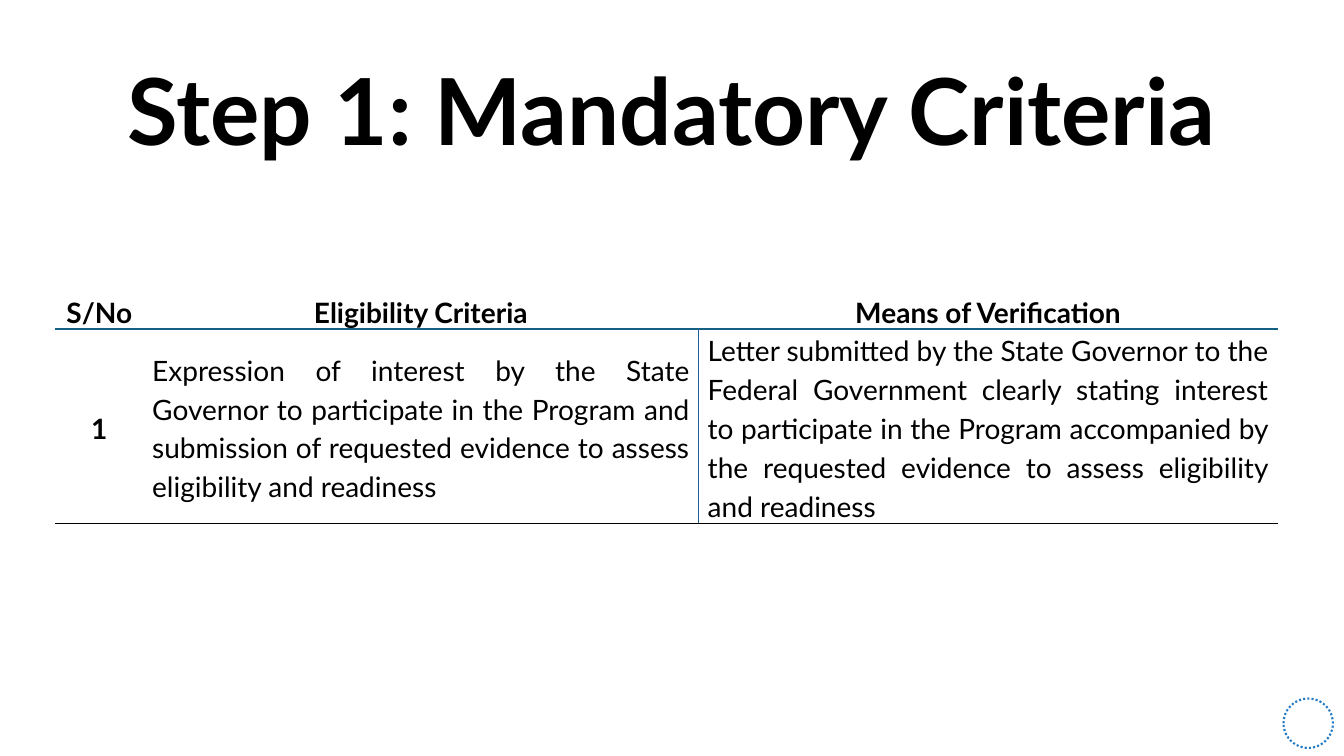
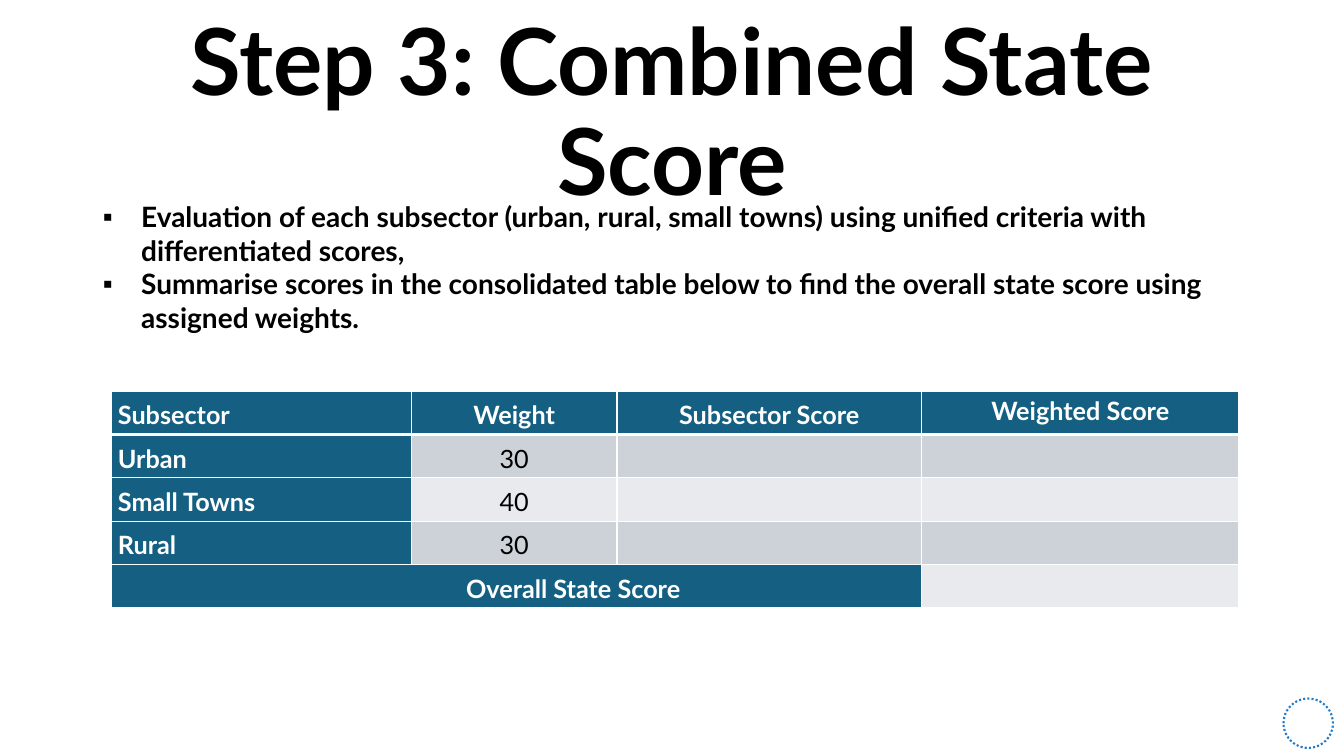
from lxml import etree
from pptx import Presentation
from pptx.dml.color import RGBColor
from pptx.enum.dml import MSO_LINE
from pptx.enum.shapes import MSO_SHAPE
from pptx.enum.text import MSO_ANCHOR as Anchor, MSO_AUTO_SIZE as AutoSize, PP_ALIGN as Align
from pptx.oxml.ns import qn
from pptx.util import Inches, Pt

FONT = "Lato"
COLORS = {
    "text": "000000",
    "white": "FFFFFF",
    "brand": "156082",
    "divider": "215F9A",
    "ring": "247BC5",
    "band_dark": "CCD2D8",
    "band_light": "E8EAED",
}
TITLE_ONLY, TITLE_AND_BODY = 5, 1  # layouts of the default template


def rgb(name):
    return RGBColor.from_string(COLORS[name])


def place(shape, left, top, width, height):
    shape.left, shape.top = Inches(left), Inches(top)
    shape.width, shape.height = Inches(width), Inches(height)


def style(paragraph, size, color="text", bold=True, align=Align.LEFT, spacing=1.0, before=0):
    font = paragraph.font
    font.name, font.size, font.bold = FONT, Pt(size), bold
    font.color.rgb = rgb(color)
    paragraph.alignment = align
    paragraph.line_spacing = spacing
    paragraph.space_before = Pt(before)


# Shared slide frame: title and corner ring
def new_slide(prs, layout, heading):
    slide = prs.slides.add_slide(prs.slide_layouts[layout])
    title = slide.shapes.title
    place(title, 0.7, 0.46, 11.93, 1.37)
    frame = title.text_frame
    frame.text = heading
    frame.auto_size, frame.vertical_anchor = AutoSize.NONE, Anchor.MIDDLE
    style(frame.paragraphs[0], 66, align=Align.CENTER, spacing=0.9)

    ring = slide.shapes.add_shape(
        MSO_SHAPE.OVAL, Inches(12.73), Inches(6.93), Inches(0.49), Inches(0.49))
    ring.shadow.inherit = False
    ring.fill.background()
    ring.line.color.rgb = rgb("ring")
    ring.line.width = Pt(1.5)
    ring.line.dash_style = MSO_LINE.ROUND_DOT
    return slide


def add_bullets(slide, items):
    body = slide.placeholders[1]
    place(body, 0.92, 1.93, 11.6, 1.45)
    frame = body.text_frame
    frame.text = "\n".join(items)
    frame.auto_size, frame.vertical_anchor = AutoSize.NONE, Anchor.TOP
    for paragraph in frame.paragraphs:
        style(paragraph, 20)
        props = paragraph._p.get_or_add_pPr()
        props.set("marL", str(Inches(0.38)))
        props.set("indent", str(-Inches(0.38)))
        bullet = etree.Element(qn("a:buChar"), char="▪")
        props.insert_element_before(bullet, "a:tabLst", "a:defRPr", "a:extLst")


# Tables
def add_grid(slide, left, top, col_widths, row_heights):
    table = slide.shapes.add_table(
        len(row_heights), len(col_widths), Inches(left), Inches(top),
        Inches(sum(col_widths)), Inches(sum(row_heights))).table
    table.first_row = table.horz_banding = False
    for column, width in zip(table.columns, col_widths):
        column.width = Inches(width)
    for row, height in zip(table.rows, row_heights):
        row.height = Inches(height)
    return table


def set_borders(cell, borders):
    """Borders map a side (L, R, T, B) to a colour name and a width; set them before the fill."""
    props = cell._tc.get_or_add_tcPr()
    for side in "LRTB":
        if side in borders:
            color, width = borders[side]
            line = etree.SubElement(props, qn(f"a:ln{side}"), w=str(Pt(width)))
            solid = etree.SubElement(line, qn("a:solidFill"))
            etree.SubElement(solid, qn("a:srgbClr"), val=COLORS[color])


def format_cell(cell, text, inset, borders, fill=None, anchor=Anchor.MIDDLE, **text_style):
    set_borders(cell, borders)
    if fill:
        cell.fill.solid()
        cell.fill.fore_color.rgb = rgb(fill)
    else:
        cell.fill.background()
    cell.margin_left = cell.margin_right = Inches(inset)
    cell.margin_top = cell.margin_bottom = 0
    cell.vertical_anchor = anchor
    if text:
        cell.text = text
        style(cell.text_frame.paragraphs[0], spacing=1.15, before=6, **text_style)


def add_criteria_table(slide):
    rows = [
        ["S/No", "Eligibility Criteria", "Means of Verification"],
        ["1",
         "Expression of interest by the State Governor to participate in the Program and "
         "submission of requested evidence to assess eligibility and readiness",
         "Letter submitted by the State Governor to the Federal Government clearly stating "
         "interest to participate in the Program accompanied by the requested evidence to "
         "assess eligibility and readiness"],
    ]
    header_rule, divider = ("brand", 1.5), ("divider", 1)
    table = add_grid(slide, 0.55, 2.88, [0.87, 5.51, 5.74], [0.38, 1.88])
    for r, row in enumerate(rows):
        for c, text in enumerate(row):
            if r == 0:
                borders = {"B": header_rule}
            else:
                borders = {"T": header_rule, "B": ("text", 0.25)}
                borders.update({1: {"R": divider}, 2: {"L": divider}}.get(c, {}))
            statement = r > 0 and c > 0
            format_cell(table.cell(r, c), text, 0.09, borders, size=20, bold=not statement,
                        anchor=Anchor.TOP if (r, c) == (0, 2) else Anchor.MIDDLE,
                        align=Align.JUSTIFY if statement else Align.CENTER)


def add_score_table(slide):
    rows = [
        ["Subsector", "Weight", "Subsector Score", "Weighted Score"],
        ["Urban", "30", "", ""],
        ["Small Towns", "40", "", ""],
        ["Rural", "30", "", ""],
        ["Overall State Score", "", "", ""],
    ]
    total = len(rows) - 1
    table = add_grid(slide, 1.1, 3.88, [2.98, 2.04, 3.02, 3.15], [0.43] * len(rows))
    for r, row in enumerate(rows):
        band = "band_dark" if r % 2 else "band_light"
        borders = {side: ("white", 1) for side in "LRTB"}
        if r < 2:  # thick rule under the header
            borders["B" if r == 0 else "T"] = ("white", 3)
        for c, text in enumerate(row):
            label = r == 0 or c == 0
            format_cell(table.cell(r, c), text, 0.07, borders, "brand" if label else band,
                        anchor=Anchor.TOP if (r, c) == (0, 3) else Anchor.MIDDLE,
                        size=18, color="white" if label else "text", bold=label,
                        align=Align.LEFT if c == 0 and r < total else Align.CENTER)
    overall = table.cell(total, 0)
    overall.merge(table.cell(total, 2))
    overall.margin_left = Inches(1.2)


def main():
    prs = Presentation()
    prs.slide_width, prs.slide_height = Inches(13.33), Inches(7.5)

    # Mandatory criteria
    add_criteria_table(new_slide(prs, TITLE_ONLY, "Step 1: Mandatory Criteria"))

    # Combined score
    score = new_slide(prs, TITLE_AND_BODY, "Step 3: Combined State Score")
    add_bullets(score, [
        "Evaluation of each subsector (urban, rural, small towns) using unified criteria "
        "with differentiated scores,",
        "Summarise scores in the consolidated table below to find the overall state score "
        "using assigned weights.",
    ])
    add_score_table(score)

    prs.save("out.pptx")


if __name__ == "__main__":
    main()
